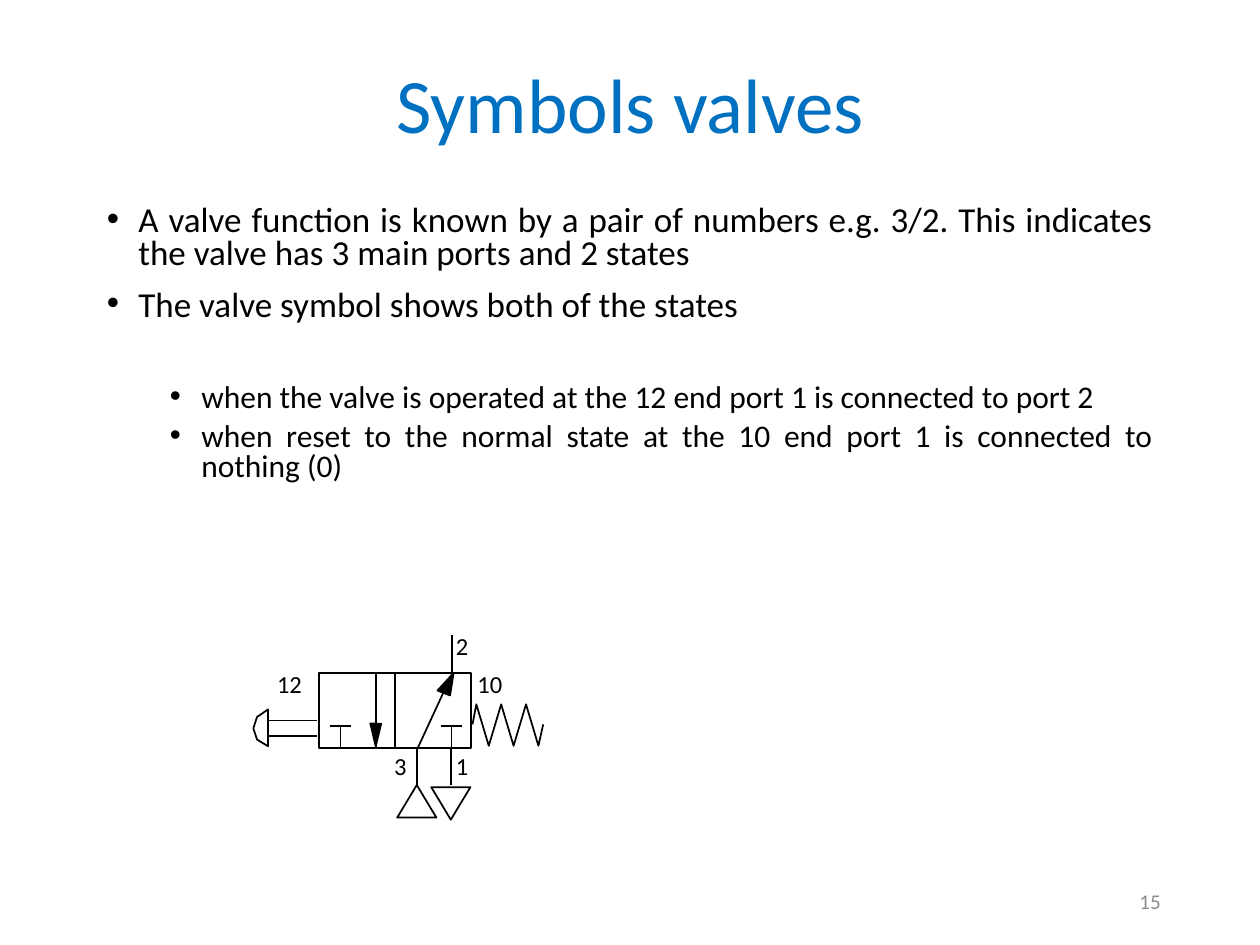
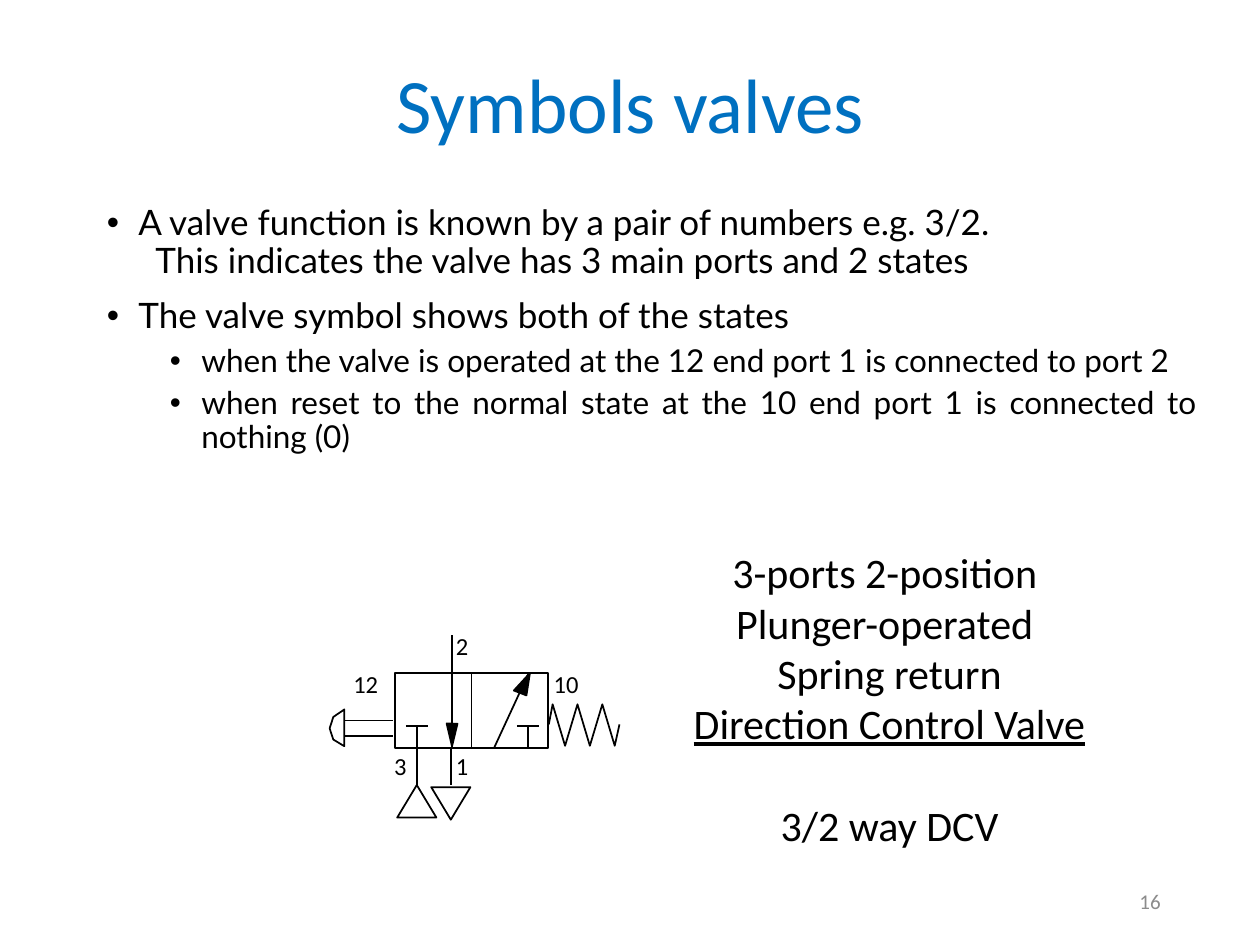
"""Build two slides that explain the symbol of a 3/2 valve."""
from dataclasses import dataclass

from lxml import etree
from pptx import Presentation
from pptx.dml.color import RGBColor
from pptx.enum.shapes import MSO_CONNECTOR, MSO_SHAPE
from pptx.enum.text import MSO_ANCHOR, PP_ALIGN
from pptx.oxml.ns import qn
from pptx.util import Pt

STRAIGHT = MSO_CONNECTOR.STRAIGHT
RECTANGLE, TRIANGLE = MSO_SHAPE.RECTANGLE, MSO_SHAPE.ISOSCELES_TRIANGLE
LEFT, CENTER, RIGHT, JUSTIFY = (PP_ALIGN.LEFT, PP_ALIGN.CENTER,
                                PP_ALIGN.RIGHT, PP_ALIGN.JUSTIFY)
TOP, MIDDLE = MSO_ANCHOR.TOP, MSO_ANCHOR.MIDDLE


@dataclass(frozen=True)
class Theme:
    """Colours, fonts and type sizes of both slides."""
    accent: RGBColor = RGBColor(0x00, 0x70, 0xC0)
    ink: RGBColor = RGBColor(0x00, 0x00, 0x00)
    muted: RGBColor = RGBColor(0x8C, 0x8C, 0x8C)
    font: str = "Calibri"
    alt_font: str = "Lato"
    title: int = 44
    summary: int = 24
    body: int = 20
    sub: int = 18
    label: int = 14
    number: int = 12
    line: int = 1


THEME = Theme()
SQUARE = 43.6
BODY_TOP, BODY_BOTTOM = 384.5, 427.7
FIRST_VALVE_LEFT = 182.2
PORT_3, PORT_1, PORT_2 = 238.4, 257.8, 258.4
BLOCKED_PORT_Y = 414.7
SPRING_TOP, SPRING_BOTTOM, SPRING_STEP = 402.5, 426.2, 7.1

INTRO = "A valve function is known by a pair of numbers e.g. 3/2."
MEANING = "This indicates the valve has 3 main ports and 2 states"
STATES = "The valve symbol shows both of the states"
OPERATED = "when the valve is operated at the 12 end port 1 is connected to port 2"
RESET = ("when reset to the normal state at the 10 end port 1 is connected to "
         "nothing (0)")


def add_box(s, x, y, w, h, anchor=TOP, wrap=True):
    """Add an empty text box and return its text frame."""
    tf = s.shapes.add_textbox(Pt(x), Pt(y), Pt(w), Pt(h)).text_frame
    tf.word_wrap = wrap
    tf.vertical_anchor = anchor
    return tf


def next_paragraph(tf):
    """Return the empty first paragraph, or a new one."""
    first = tf.paragraphs[0]
    return tf.add_paragraph() if first.runs else first


def add_run(p, text, size, color=THEME.ink, font=THEME.font, underline=False):
    """Add one formatted run."""
    r = p.add_run()
    r.text = text
    r.font.size, r.font.name = Pt(size), font
    r.font.color.rgb = color
    if underline:
        r.font.underline = True


def add_text(s, box, text, size, color=THEME.ink, align=LEFT, anchor=TOP,
             wrap=True):
    """Add a text box with a single run."""
    p = add_box(s, *box, anchor=anchor, wrap=wrap).paragraphs[0]
    p.alignment = align
    add_run(p, text, size, color)


def add_body_paragraph(tf, text, size, left, before, spacing, font,
                       bullet=True):
    """Add a justified paragraph, with or without a hanging bullet."""
    p = next_paragraph(tf)
    ppr = p._p.get_or_add_pPr()
    ppr.set("marL", str(Pt(left)))
    ppr.set("indent", str(Pt(-18 if bullet else 0)))
    if bullet:
        etree.SubElement(ppr, qn("a:buFont")).set("typeface", "Arial")
        etree.SubElement(ppr, qn("a:buChar")).set("char", "•")
    else:
        etree.SubElement(ppr, qn("a:buNone"))
    p.alignment = JUSTIFY
    p.line_spacing = spacing
    p.space_before = Pt(before)
    add_run(p, text, size, font=font)


def add_body(s, width, height, rows, spacing, font):
    """Add the body text from rows of text, size, left, space before, bullet."""
    tf = add_box(s, 54, 113.8, width, height)
    for text, size, left, before, bullet in rows:
        add_body_paragraph(tf, text, size, left, before, spacing, font, bullet)


def style_outline(shape, filled=False):
    """Give a shape a thin black outline, no shadow and an optional fill."""
    shape.shadow.inherit = False
    if filled:
        shape.fill.solid()
        shape.fill.fore_color.rgb = THEME.ink
    else:
        shape.fill.background()
    shape.line.color.rgb = THEME.ink
    shape.line.width = Pt(THEME.line)


def add_line(s, x1, y1, x2, y2):
    """Add a thin straight line."""
    line = s.shapes.add_connector(STRAIGHT, Pt(x1), Pt(y1), Pt(x2), Pt(y2))
    line.line.color.rgb = THEME.ink
    line.line.width = Pt(THEME.line)
    etree.SubElement(line._element.spPr, qn("a:effectLst"))


def add_outline(s, kind, x, y, w, h):
    """Add an unfilled preset shape."""
    shape = s.shapes.add_shape(kind, Pt(x), Pt(y), Pt(w), Pt(h))
    style_outline(shape)
    return shape


def add_path(s, points, close=False, filled=False):
    """Add a freeform through the points."""
    start, *rest = [(Pt(x), Pt(y)) for x, y in points]
    builder = s.shapes.build_freeform(*start, scale=1.0)
    builder.add_line_segments(rest, close=close)
    style_outline(builder.convert_to_shape(), filled)


def add_label(s, text, x, y):
    """Add a port or actuator number."""
    add_text(s, (x, y, 15.1 + 7.4 * len(text), 24), text, THEME.label,
             wrap=False)


def add_blocked_port(s, x):
    """Add the T that marks a closed port inside the valve."""
    add_line(s, x - 6.2, BLOCKED_PORT_Y, x + 6.2, BLOCKED_PORT_Y)
    add_line(s, x, BLOCKED_PORT_Y, x, BODY_BOTTOM)


def add_ports(s):
    """Add the fixed ports, with supply, exhaust and numbers."""
    add_line(s, PORT_1, 427, PORT_1, 448.6)
    add_line(s, PORT_3, 427, PORT_3, 448.6)
    add_line(s, PORT_2, 363, PORT_2, BODY_TOP)
    add_outline(s, TRIANGLE, 227, 448.6, 22.4, 18.6)
    add_outline(s, TRIANGLE, 246.4, 449.8, 22.4, 18.6).rotation = 180
    add_label(s, "2", 253.4, 357.1)
    add_label(s, "1", 253.4, 425.5)
    add_label(s, "3", 218.2, 425.5)


def add_flow_arrows(s, left):
    """Add the straight flow and the slanted flow with their arrowheads."""
    down = left + 32.5
    add_line(s, down, BODY_TOP, down, BODY_BOTTOM)
    add_path(s, [(down, 426.5), (down - 3.1, 413.4), (down + 3.1, 413.6)],
             close=True, filled=True)
    add_line(s, left + 56.4, BODY_BOTTOM, left + 76.4, BODY_TOP)
    add_path(s, [(left + 77, 384.6), (left + 75, 397.4), (left + 67.8, 394.6)],
             close=True, filled=True)


def add_plunger(s, left):
    """Add the plunger at the 12 end."""
    head = [(-29, 405.4), (-35.3, 409.7), (-37.4, 416.2), (-35.3, 422.6),
            (-29, 426.4)]
    add_path(s, [(left + x, y) for x, y in head], close=True)
    for y in (411.8, 420.5):
        add_line(s, left - 28.8, y, left - 1, y)
    add_label(s, "12", left - 31, 378.7)


def add_spring(s, left):
    """Add the return spring at the 10 end."""
    coils = [(left + 90 + i * SPRING_STEP,
              SPRING_BOTTOM if i % 2 else SPRING_TOP) for i in range(6)]
    add_path(s, [(left + 87.8, 414), *coils, (left + 128.2, 414)])
    add_label(s, "10", left + 83.5, 378.7)


def add_valve(s, left):
    """Add the valve body at the given left edge over the fixed ports."""
    add_ports(s)
    for x in (12.4, 75.8):
        add_blocked_port(s, left + x)
    add_outline(s, RECTANGLE, left, BODY_TOP, 2 * SQUARE,
                BODY_BOTTOM - BODY_TOP)
    add_line(s, left + SQUARE, BODY_TOP, left + SQUARE, BODY_BOTTOM)
    add_flow_arrows(s, left)
    add_plunger(s, left)
    add_spring(s, left)


def add_summary(s):
    """Add the centred name of the valve."""
    tf = add_box(s, 388.1, 308.9, 240.5, 181.4, wrap=False)
    rows = [("3-ports 2-position ", 0, False), ("Plunger-operated ", 0, False),
            ("Spring return", 0, False), ("Direction Control Valve", 0, True),
            ("3/2 way DCV", 29, False)]
    for text, before, underline in rows:
        p = next_paragraph(tf)
        p.alignment = CENTER
        p.space_before = Pt(before)
        add_run(p, text, THEME.summary, underline=underline)


def add_slide(prs, number):
    """Add a blank slide with the shared title and slide number."""
    s = prs.slides.add_slide(prs.slide_layouts[6])
    add_text(s, (91.4, 33.1, 537.8, 58.3), "Symbols valves", THEME.title,
             THEME.accent, CENTER, MIDDLE)
    s.shapes[0].text_frame.paragraphs[0].line_spacing = 0.9
    add_text(s, (508.3, 500.4, 162, 28.8), str(number), THEME.number,
             THEME.muted, RIGHT, MIDDLE)
    return s


def main():
    """Build and save the presentation."""
    prs = Presentation()
    prs.slide_width, prs.slide_height = Pt(720), Pt(540)

    s = add_slide(prs, 15)
    add_body(s, 612, 171.4, [
        (f"{INTRO} {MEANING}", THEME.body, 18, 0, True),
        (STATES, THEME.body, 18, 10, True),
        (OPERATED, THEME.sub, 54, 34.5, True),
        (RESET, THEME.sub, 54, 5, True),
    ], 0.8, THEME.font)
    add_valve(s, FIRST_VALVE_LEFT)

    s = add_slide(prs, 16)
    add_body(s, 637.2, 201.6, [
        (INTRO, THEME.body, 18, 0, True),
        (MEANING, THEME.body, 27.7, 0, False),
        (STATES, THEME.body, 18, 10, True),
        (OPERATED, THEME.sub, 54, 5, True),
        (RESET, THEME.sub, 54, 5, True),
    ], 0.9, THEME.alt_font)
    add_valve(s, FIRST_VALVE_LEFT + SQUARE)
    add_summary(s)

    prs.save("out.pptx")


if __name__ == "__main__":
    main()
